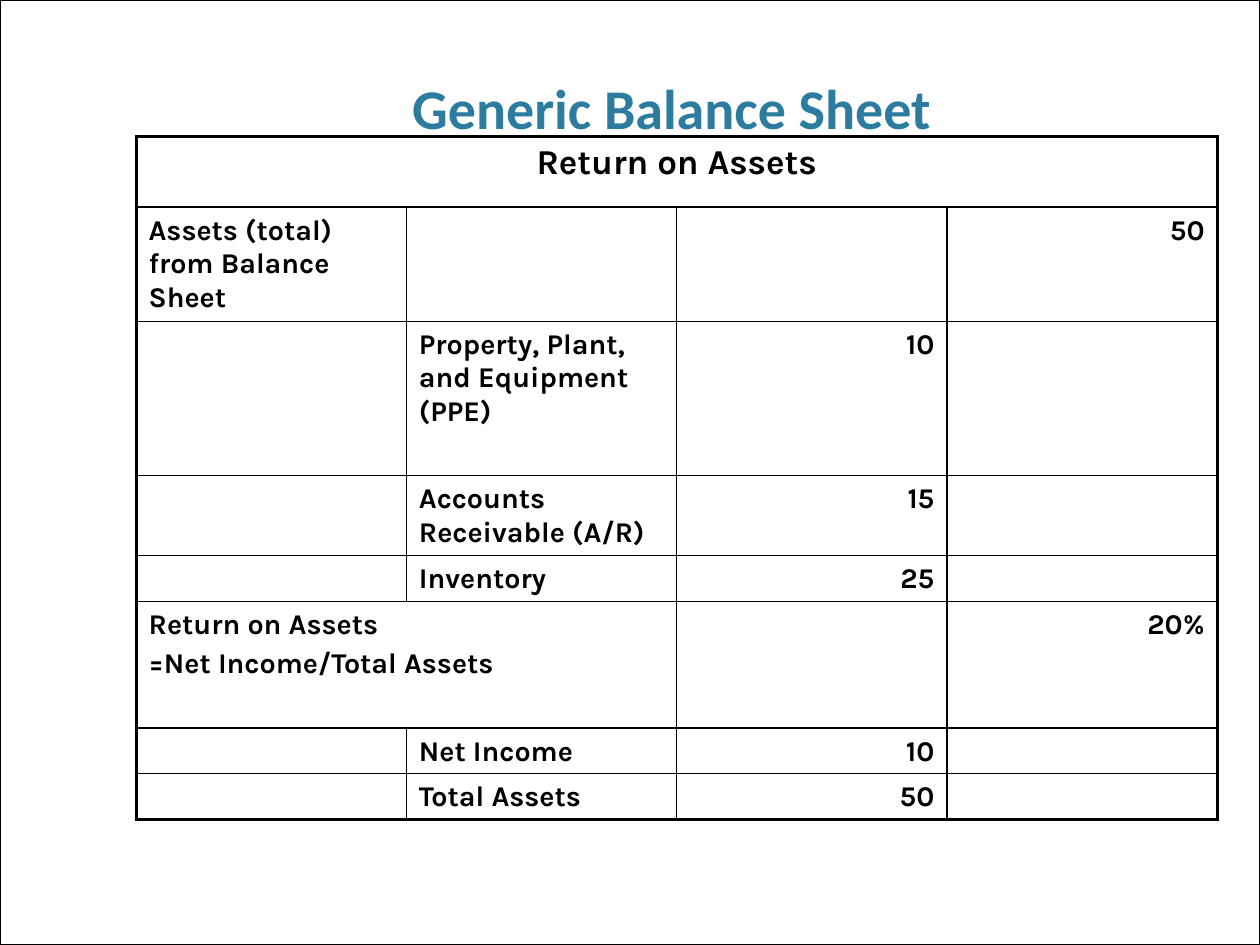
"""Build the Generic Balance Sheet slide."""
from dataclasses import dataclass

from lxml import etree
from pptx import Presentation
from pptx import util as u
from pptx.dml import color
from pptx.enum import shapes, text
from pptx.oxml import ns

LEFT, CENTER, RIGHT = text.PP_ALIGN.LEFT, text.PP_ALIGN.CENTER, text.PP_ALIGN.RIGHT


@dataclass(frozen=True)
class Theme:
    """Colours, fonts, sizes and line widths."""
    ink: str = "000000"
    paper: str = "FFFFFF"
    accent: str = "2C7C9F"
    title_font: str = "Calibri"
    body_font: str = "Karla"
    title_size: float = 35.3
    head_size: float = 22
    body_size: float = 18
    frame: float = 0.75
    inner: float = 1
    outer: float = 2.25
    pad_x: float = 0.11
    pad_top: float = 0.06
    pad_bottom: float = 0.04


def rgb(value):
    """Return a colour from its hex digits."""
    return color.RGBColor.from_string(value)


def write(tf, content, *, font, size, ink, align=LEFT):
    """Write each line of content as a bold paragraph."""
    for i, line in enumerate(content.split("\n")):
        p = tf.add_paragraph() if i else tf.paragraphs[0]
        p.alignment = align
        if i:
            p.space_before = u.Pt(size * 0.2)
        r = p.add_run()
        r.text = line
        r.font.name, r.font.size, r.font.bold = font, u.Pt(size), True
        r.font.color.rgb = rgb(ink)


class Deck:
    """Holds the theme and the current slide."""

    def __init__(self, prs, theme):
        self.prs, self.theme = prs, theme
        self.s = prs.slides.add_slide(prs.slide_layouts[6])

    def box(self, x, y, w, h):
        """Turn shares of the slide's size into lengths."""
        width, height = self.prs.slide_width, self.prs.slide_height
        return int(x * width), int(y * height), int(w * width), int(h * height)

    def pad(self, o):
        """Set the inner margins of a cell or text frame."""
        o.margin_left = o.margin_right = u.Inches(self.theme.pad_x)
        o.margin_top = u.Inches(self.theme.pad_top)
        o.margin_bottom = u.Inches(self.theme.pad_bottom)

    def frame(self):
        """Draw the outlined page."""
        sp = self.s.shapes.add_shape(shapes.MSO_SHAPE.RECTANGLE, *self.box(0, 0, 1, 1))
        sp.shadow.inherit = False
        sp.fill.solid()
        sp.fill.fore_color.rgb = rgb(self.theme.paper)
        sp.line.color.rgb = rgb(self.theme.ink)
        sp.line.width = u.Pt(self.theme.frame)

    def title(self, content, *share):
        """Add the centred heading."""
        tf = self.s.shapes.add_textbox(*self.box(*share)).text_frame
        tf.word_wrap = True
        tf.vertical_anchor = text.MSO_ANCHOR.BOTTOM
        self.pad(tf)
        tf.margin_bottom = tf.margin_top
        write(tf, content, font=self.theme.title_font, size=self.theme.title_size,
              ink=self.theme.accent, align=CENTER)

    def borders(self, cell, edges):
        """Give a cell thick lines on its outer edges and thin ones elsewhere."""
        tcPr = cell._tc.get_or_add_tcPr()
        for side in "LRTB":
            width = self.theme.outer if side in edges else self.theme.inner
            ln = etree.SubElement(tcPr, ns.qn(f"a:ln{side}"), w=str(u.Pt(width)))
            fill = etree.SubElement(ln, ns.qn("a:solidFill"))
            etree.SubElement(fill, ns.qn("a:srgbClr"), val=self.theme.ink)

    def table(self, rows, heights, spans, *share):
        """Add a bordered table whose first row is its heading."""
        n_rows, n_cols = len(rows), len(rows[-1])
        table = self.s.shapes.add_table(n_rows, n_cols, *self.box(*share)).table
        table.first_row = table.horz_banding = False
        for row, height in zip(table.rows, heights):
            row.height = u.Inches(height)
        for i, span in spans.items():
            table.cell(i, 0).merge(table.cell(i, span - 1))
        for i, row in enumerate(rows):
            for j, content in enumerate(row):
                cell = table.cell(i, j)
                last = j + (spans.get(i, 1) if j == 0 else 1) == n_cols
                edges = {"L": j == 0, "R": last, "T": i == 0, "B": i == n_rows - 1}
                self.borders(cell, [side for side, on in edges.items() if on])
                cell.fill.background()
                if not content:
                    cell.margin_top = cell.margin_bottom = 0
                    continue
                self.pad(cell)
                size = self.theme.body_size if i else self.theme.head_size
                align = (RIGHT if j > 1 else LEFT) if i else CENTER
                write(cell.text_frame, content, font=self.theme.body_font,
                      size=size, ink=self.theme.ink, align=align)


ROWS = [
    ["Return on Assets", "", "", ""],
    ["Assets (total) from Balance Sheet", "", "", "50"],
    ["", "Property, Plant, and Equipment (PPE)", "10", ""],
    ["", "Accounts Receivable (A/R)", "15", ""],
    ["", "Inventory", "25", ""],
    ["Return on Assets\n=Net Income/Total Assets", "", "", "20%"],
    ["", "Net Income", "10", ""],
    ["", "Total Assets", "50", ""],
]
HEIGHTS = [0.62, 0.99, 1.35, 0.7, 0.4, 1.11, 0.4, 0.4]


def main():
    """Build and save the slide."""
    prs = Presentation()
    prs.slide_width, prs.slide_height = u.Cm(28), u.Cm(21)
    deck = Deck(prs, Theme())
    deck.frame()
    deck.title("Generic Balance Sheet", 0.108, 0.022, 0.85, 0.134)
    deck.table(ROWS, HEIGHTS, {0: 4, 5: 2}, 0.108, 0.144, 0.858, 0.722)
    prs.save("out.pptx")


if __name__ == "__main__":
    main()
